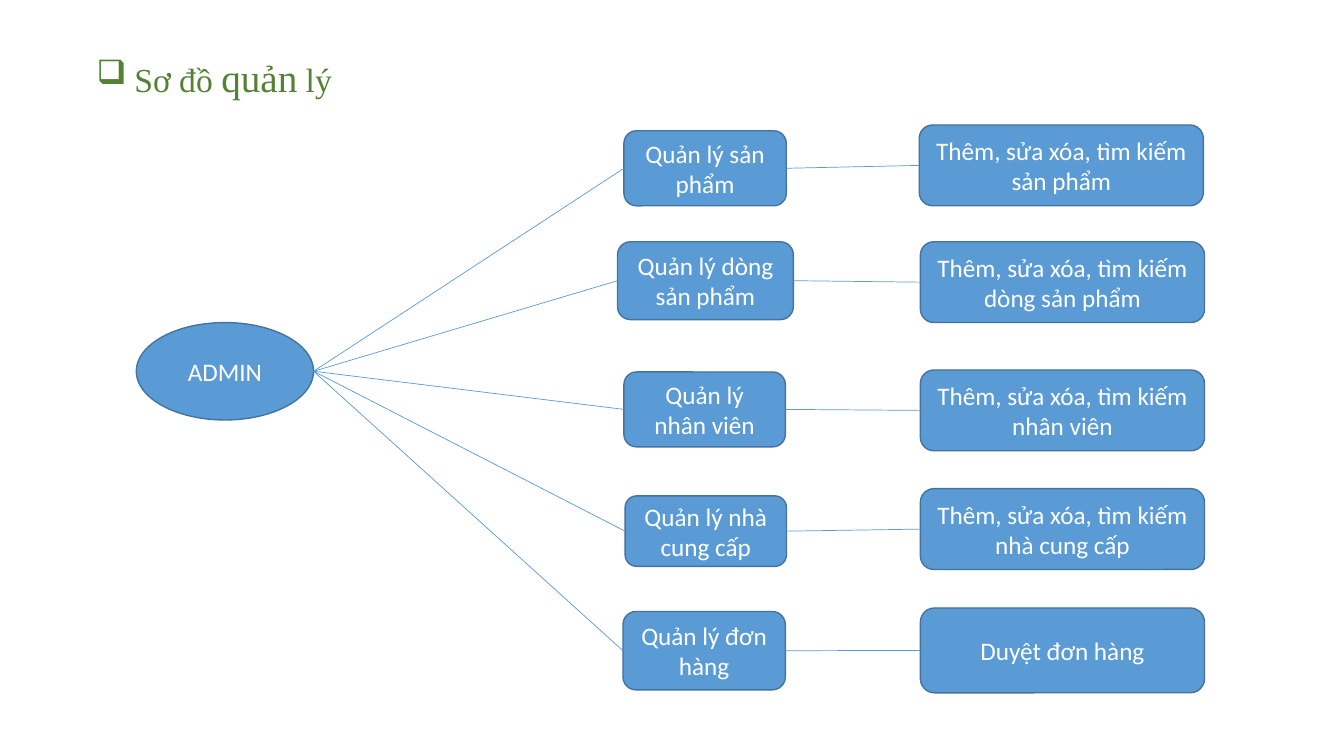
from dataclasses import dataclass
from typing import Any

from lxml.etree import SubElement
from pptx import Presentation
from pptx.dml.color import RGBColor
from pptx.enum.shapes import MSO_CONNECTOR as Link, MSO_SHAPE as Preset
from pptx.enum.text import MSO_ANCHOR as Anchor, MSO_AUTO_SIZE as Fit, PP_ALIGN as Align
from pptx.oxml.ns import qn
from pptx.shapes.autoshape import Shape
from pptx.shapes.connector import Connector
from pptx.slide import Slide
from pptx.util import Pt


@dataclass(frozen=True)
class Theme:
    fill: RGBColor = RGBColor(0x5B, 0x9B, 0xD5)
    outline: RGBColor = RGBColor(0x43, 0x73, 0x9E)
    label: RGBColor = RGBColor(0xFF, 0xFF, 0xFF)
    heading: RGBColor = RGBColor(0x54, 0x82, 0x35)
    label_font: str = "Calibri"
    heading_font: str = "Times New Roman"
    label_size: float = 18
    heading_size: float = 24
    emphasis_size: float = 28
    outline_width: float = 1
    link_width: float = 0.5


@dataclass(frozen=True)
class Node:
    text: str
    left: float
    top: float
    width: float
    height: float
    preset: Preset = Preset.ROUNDED_RECTANGLE


@dataclass(frozen=True)
class Branch:
    manager: Node
    task: Node


THEME = Theme()
LEFT_SITE, RIGHT_SITE = 1, 3
TASK_LEFT, TASK_WIDTH, TASK_HEIGHT = 657.4, 203, 57.7

ADMIN = Node("ADMIN", 97.4, 230.4, 126.6, 69.6, Preset.OVAL)
BRANCHES = [
    Branch(
        Node("Quản lý sản phẩm", 445.7, 93.4, 116, 53.6),
        Node("Thêm, sửa xóa, tìm kiếm sản phẩm", 656.6, 89.3, TASK_WIDTH, TASK_HEIGHT),
    ),
    Branch(
        Node("Quản lý dòng sản phẩm", 441.1, 172.7, 125.6, 55.6),
        Node("Thêm, sửa xóa, tìm kiếm dòng sản phẩm", TASK_LEFT, 172.7, TASK_WIDTH, TASK_HEIGHT),
    ),
    Branch(
        Node("Quản lý nhân viên", 445.7, 265.7, 115.3, 53.5),
        Node("Thêm, sửa xóa, tìm kiếm nhân viên", TASK_LEFT, 264.3, TASK_WIDTH, TASK_HEIGHT),
    ),
    Branch(
        Node("Quản lý nhà cung cấp", 446.5, 354.2, 115.3, 50.4),
        Node("Thêm, sửa xóa, tìm kiếm nhà cung cấp", TASK_LEFT, 349.1, TASK_WIDTH, TASK_HEIGHT),
    ),
    Branch(
        Node("Quản lý đơn hàng", 445, 436.8, 116, 56),
        Node("Duyệt đơn hàng", TASK_LEFT, 434.3, TASK_WIDTH, 60.6),
    ),
]
HEADING = [
    ("Sơ đồ ", THEME.heading_size),
    ("quản", THEME.emphasis_size),
    (" lý", THEME.heading_size),
]


def apply_format(target: Any, values: dict[str, Any]) -> None:
    for name, value in values.items():
        setattr(target, name, value)


def style_run(run: Any, font: str, size: float, color: RGBColor) -> None:
    apply_format(run.font, {"name": font, "size": Pt(size)})
    run.font.color.rgb = color


def draw_node(slide: Slide, node: Node) -> Shape:
    box = slide.shapes.add_shape(
        node.preset, Pt(node.left), Pt(node.top), Pt(node.width), Pt(node.height)
    )
    box.shadow.inherit = False
    box.fill.solid()
    box.fill.fore_color.rgb = THEME.fill
    box.line.color.rgb = THEME.outline
    box.line.width = Pt(THEME.outline_width)
    frame = box.text_frame
    apply_format(frame, {"word_wrap": True, "vertical_anchor": Anchor.MIDDLE})
    paragraph = frame.paragraphs[0]
    paragraph.alignment = Align.CENTER
    run = paragraph.add_run()
    run.text = node.text
    style_run(run, THEME.label_font, THEME.label_size, THEME.label)
    return box


def draw_link(slide: Slide, source: Shape, target: Shape) -> Connector:
    link = slide.shapes.add_connector(
        Link.STRAIGHT,
        source.left + source.width,
        source.top + source.height // 2,
        target.left,
        target.top + target.height // 2,
    )
    if source.auto_shape_type == Preset.ROUNDED_RECTANGLE:
        link.begin_connect(source, RIGHT_SITE)
    link.end_connect(target, LEFT_SITE)
    link.line.color.rgb = THEME.fill
    link.line.width = Pt(THEME.link_width)
    SubElement(link.element.spPr, qn("a:effectLst"))
    return link


def draw_heading(slide: Slide) -> None:
    heading = slide.shapes.add_textbox(Pt(61.9), Pt(34.6), Pt(210.2), Pt(41.2))
    frame = heading.text_frame
    apply_format(frame, {"word_wrap": True, "auto_size": Fit.SHAPE_TO_FIT_TEXT})
    paragraph = frame.paragraphs[0]
    properties = paragraph._p.get_or_add_pPr()
    indent = Pt(27)
    properties.set("marL", str(indent))
    properties.set("indent", str(-indent))
    SubElement(properties, qn("a:buChar"), char="❑")
    for text, size in HEADING:
        run = paragraph.add_run()
        run.text = text
        style_run(run, THEME.heading_font, size, THEME.heading)


def main() -> None:
    deck = Presentation()
    apply_format(deck, {"slide_width": Pt(960), "slide_height": Pt(540)})
    slide = deck.slides.add_slide(deck.slide_layouts[6])
    admin = draw_node(slide, ADMIN)
    for branch in BRANCHES:
        manager = draw_node(slide, branch.manager)
        task = draw_node(slide, branch.task)
        draw_link(slide, admin, manager)
        draw_link(slide, manager, task)
    draw_heading(slide)
    deck.save("out.pptx")


if __name__ == "__main__":
    main()
